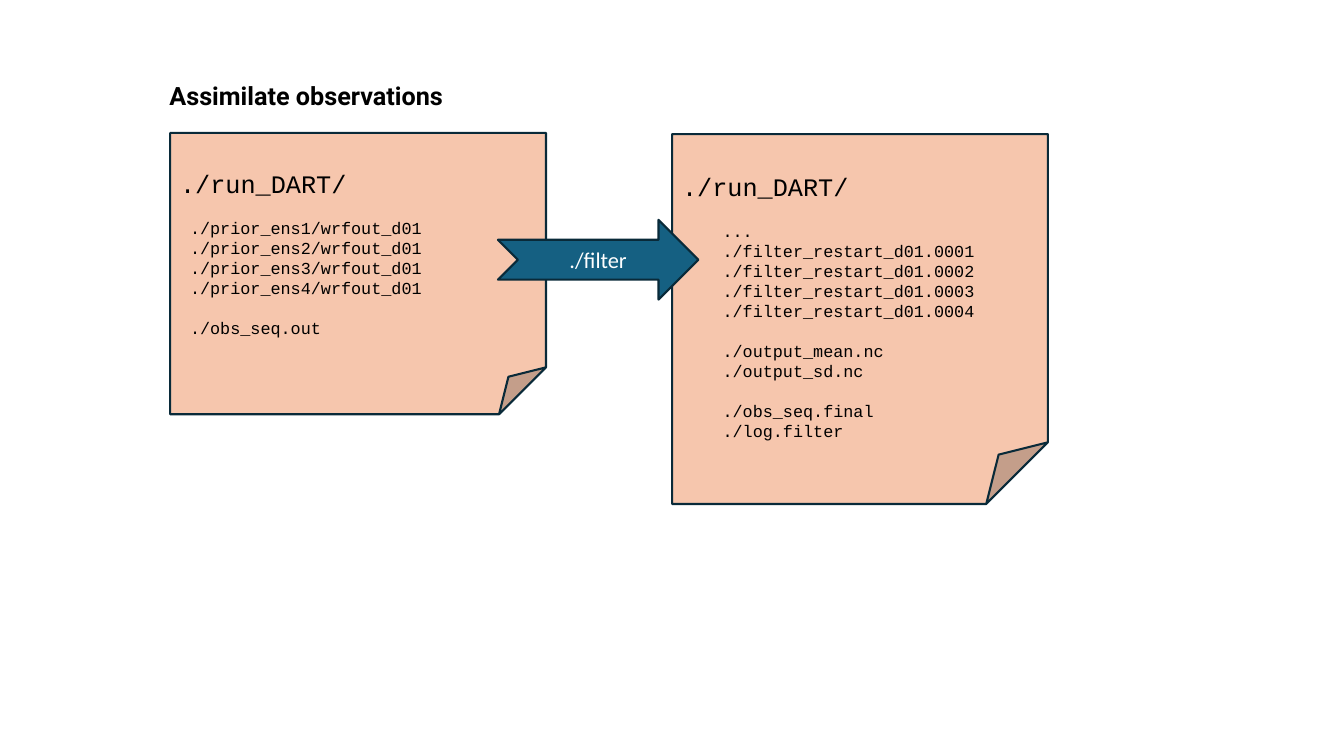
import pptx
import pptx.util
import pptx.dml.color
import pptx.enum.shapes
import pptx.enum.text

Cm, Pt = pptx.util.Cm, pptx.util.Pt
Shape = pptx.enum.shapes.MSO_SHAPE
Anchor = pptx.enum.text.MSO_ANCHOR
Align = pptx.enum.text.PP_ALIGN

COLORS = {"note": "F6C6AD", "arrow": "156082", "outline": "092A39",
          "text": "000000", "arrow_text": "FFFFFF"}
LINE_PITCH = Pt(14.3)

deck = pptx.Presentation()
deck.slide_width, deck.slide_height = Cm(33.87), Cm(19.05)
page = deck.slides.add_slide(deck.slide_layouts[6])


def add_outlined(kind, left, top, width, height, fill):
    box = page.shapes.add_shape(kind, Cm(left), Cm(top), Cm(width), Cm(height))
    box.shadow.inherit = False
    box.fill.solid()
    box.fill.fore_color.rgb = pptx.dml.color.RGBColor.from_string(COLORS[fill])
    box.line.color.rgb = pptx.dml.color.RGBColor.from_string(COLORS["outline"])
    box.line.width = Pt(1.5)
    return box


def write(para, text, font, size, color="text", bold=False, **layout):
    for name, value in layout.items():
        setattr(para, name, value)
    span = para.add_run()
    span.text = text
    for name, value in {"name": font, "size": Pt(size), "bold": bold}.items():
        setattr(span.font, name, value)
    span.font.color.rgb = pptx.dml.color.RGBColor.from_string(COLORS[color])


# Title
title = page.shapes.add_textbox(Cm(4.02), Cm(1.91), Cm(8.94), Cm(1.02))
title.text_frame.word_wrap = True
write(title.text_frame.paragraphs[0], "Assimilate observations", "Roboto", 18, bold=True)

# Directory notes: left, top, height, top inset, file indent, groups of files
notes = [
    (4.29, 3.35, 7.09, 0.88, 0.25, [
        [f"./prior_ens{member}/wrfout_d01" for member in range(1, 5)],
        ["./obs_seq.out"],
    ]),
    (16.94, 3.38, 9.32, 0.93, 1.02, [
        ["..."] + [f"./filter_restart_d01.{member:04d}" for member in range(1, 5)],
        ["./output_mean.nc", "./output_sd.nc"],
        ["./obs_seq.final", "./log.filter"],
    ]),
]
for left, top, height, inset, indent, groups in notes:
    note = add_outlined(Shape.FOLDED_CORNER, left, top, 9.47, height, "note")
    frame = note.text_frame
    frame.word_wrap = True
    frame.vertical_anchor = Anchor.TOP
    frame.margin_top = Cm(inset)
    write(frame.paragraphs[0], "./run_DART/", "Courier New", 18, alignment=Align.LEFT)
    for files in groups:
        for position, file in enumerate(files):
            para = frame.add_paragraph()
            para.font.size = Pt(12)
            properties = para._p.get_or_add_pPr()
            properties.set("marL", str(Cm(indent)))
            write(para, file, "Courier New", 12, alignment=Align.LEFT,
                  line_spacing=LINE_PITCH,
                  space_before=Pt(0) if position else LINE_PITCH)

# Filter step between the notes
arrow = add_outlined(Shape.NOTCHED_RIGHT_ARROW, 12.55, 5.54, 5.05, 2.01, "arrow")
arrow.text_frame.vertical_anchor = Anchor.MIDDLE
write(arrow.text_frame.paragraphs[0], "./filter", "Calibri", 16, "arrow_text",
      alignment=Align.CENTER)

deck.save("out.pptx")
